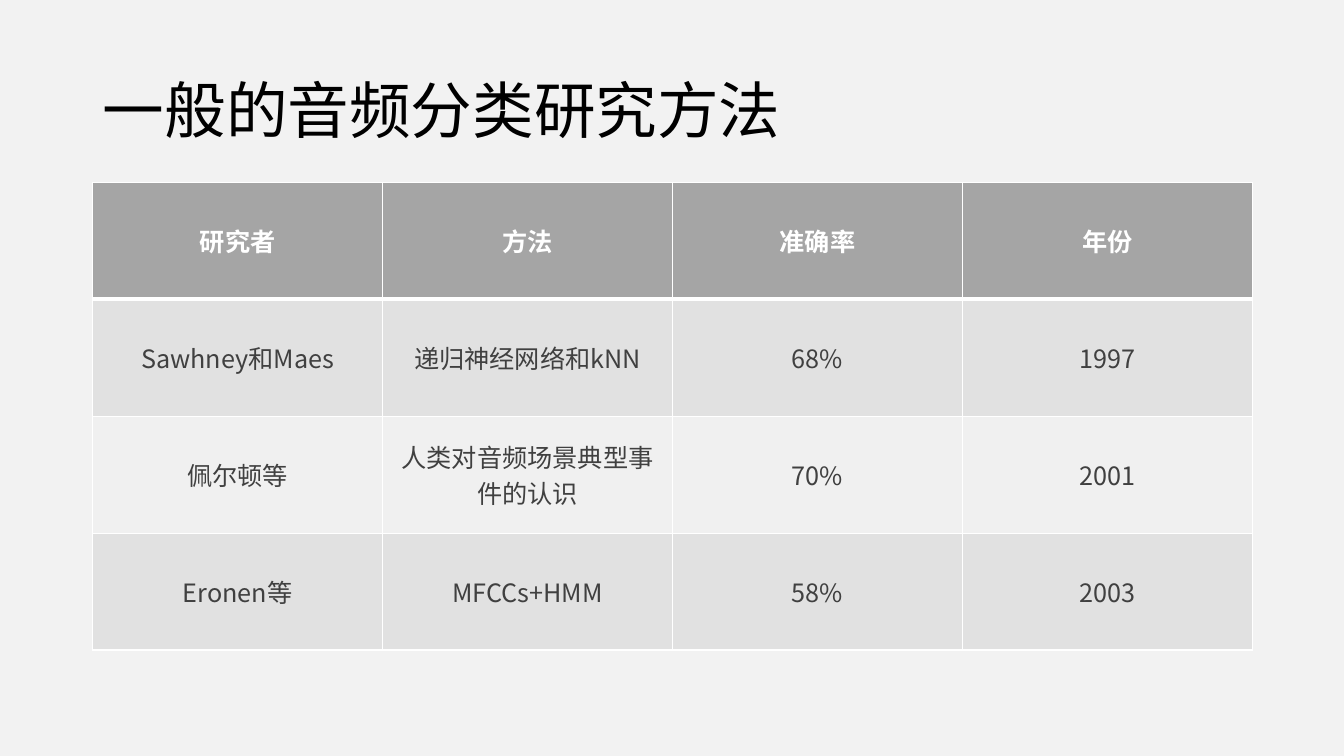
import pptx
import pptx.dml.color
import pptx.enum.text
import pptx.oxml.ns
import pptx.util
from lxml import etree
from pptx.util import Inches

COLORS = {
    "background": "F2F2F2",
    "title": "000000",
    "header": "A5A5A5",
    "body": "404040",
    "white": "FFFFFF",
    "odd": "E1E1E1",
    "even": "F0F0F0",
}
METHODS = [
    ["研究者", "方法", "准确率", "年份"],
    ["Sawhney和Maes", "递归神经网络和kNN", "68%", "1997"],
    ["佩尔顿等", "人类对音频场景典型事件的认识", "70%", "2001"],
    ["Eronen等", "MFCCs+HMM", "58%", "2003"],
]


class SlideBuilder:
    """Holds the style and the current slide, and adds its elements."""

    font_name = "Noto Sans CJK SC"

    def __init__(self, deck):
        self.page = deck.slides.add_slide(deck.slide_layouts[5])
        self.fill(self.page.background.fill, "background")

    def color(self, name):
        return pptx.dml.color.RGBColor.from_string(COLORS[name])

    def fill(self, target, name):
        target.solid()
        target.fore_color.rgb = self.color(name)

    def set_text(self, frame, text, size, color, align, bold=False):
        frame.text = text
        frame.word_wrap = True
        para = frame.paragraphs[0]
        para.alignment = align
        font = para.font
        font.name = self.font_name
        font.size = pptx.util.Pt(size)
        font.bold = bold
        font.color.rgb = self.color(color)
        east_asian = etree.SubElement(font._element, pptx.oxml.ns.qn("a:ea"))
        east_asian.set("typeface", self.font_name)
        return para

    def title(self, text, left, top, width, height):
        box = self.page.shapes.title
        box.left, box.top = Inches(left), Inches(top)
        box.width, box.height = Inches(width), Inches(height)
        frame = box.text_frame
        frame.auto_size = pptx.enum.text.MSO_AUTO_SIZE.NONE
        frame.vertical_anchor = pptx.enum.text.MSO_ANCHOR.MIDDLE
        para = self.set_text(frame, text, 44, "title", pptx.enum.text.PP_ALIGN.LEFT)
        para.line_spacing = 0.9

    def border(self, cell, side, width):
        properties = cell._tc.get_or_add_tcPr()
        line = etree.SubElement(properties, pptx.oxml.ns.qn(f"a:ln{side}"))
        line.set("w", str(pptx.util.Pt(width)))
        solid = etree.SubElement(line, pptx.oxml.ns.qn("a:solidFill"))
        etree.SubElement(solid, pptx.oxml.ns.qn("a:srgbClr")).set("val", COLORS["white"])

    def cell(self, cell, text, row):
        header = row == 0
        widths = {"L": 1, "R": 1, "T": 3 if row == 1 else 1, "B": 3 if header else 1}
        for side, width in widths.items():
            self.border(cell, side, width)
        self.fill(cell.fill, "header" if header else "odd" if row % 2 else "even")
        cell.vertical_anchor = pptx.enum.text.MSO_ANCHOR.MIDDLE
        self.set_text(cell.text_frame, text, 18, "white" if header else "body",
                      pptx.enum.text.PP_ALIGN.CENTER, header)

    def table(self, rows, left, top, width, height):
        table = self.page.shapes.add_table(
            len(rows), len(rows[0]),
            Inches(left), Inches(top), Inches(width), Inches(height)).table
        for row, texts in enumerate(rows):
            for column, text in enumerate(texts):
                self.cell(table.cell(row, column), text, row)


def main():
    deck = pptx.Presentation()
    deck.slide_width, deck.slide_height = Inches(13.33), Inches(7.5)
    builder = SlideBuilder(deck)
    builder.title("一般的音频分类研究方法", 0.92, 0.4, 11.5, 1.45)
    builder.table(METHODS, 0.92, 1.81, 11.5, 4.64)
    deck.save("out.pptx")


if __name__ == "__main__":
    main()
